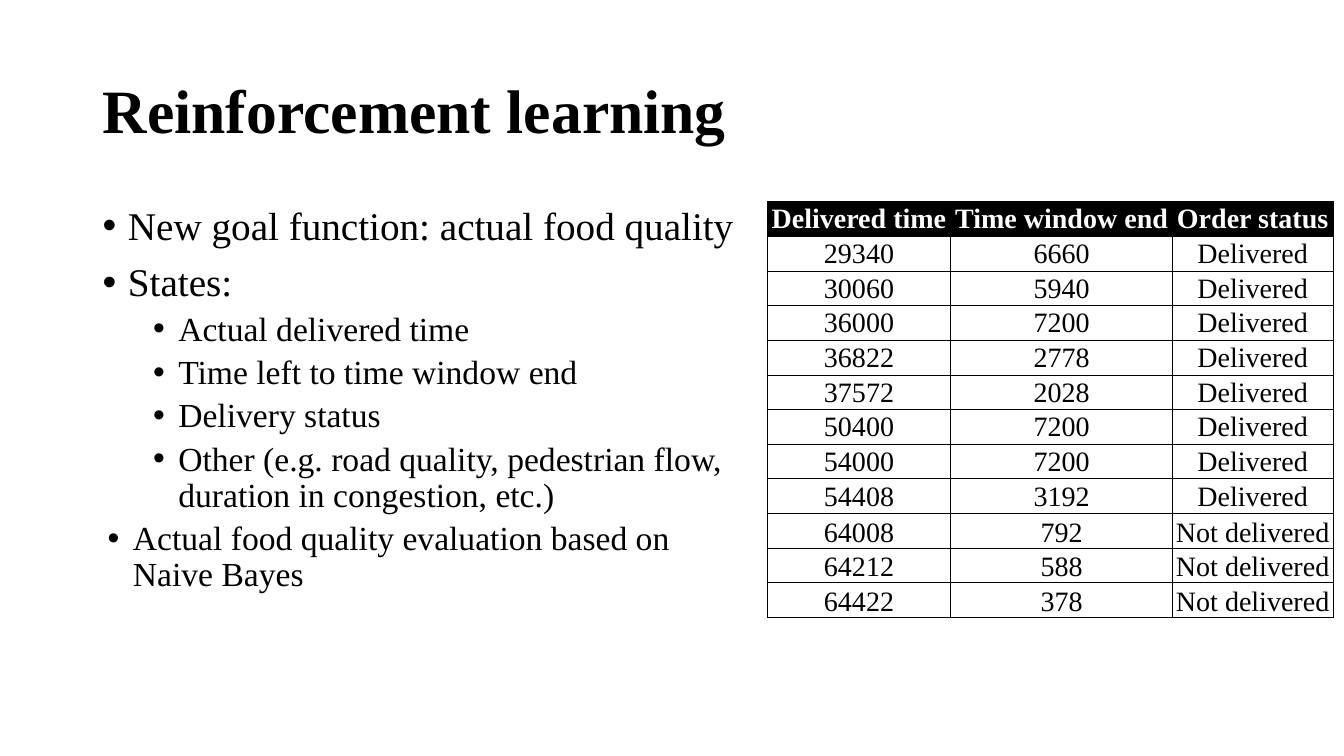
from lxml import etree
from pptx import Presentation
from pptx.dml.color import RGBColor
from pptx.enum import text as t
from pptx.oxml import ns
from pptx.util import Inches, Pt

BLACK = RGBColor(0, 0, 0)
WHITE = RGBColor(255, 255, 255)
FONT = "Times New Roman"

# text, size, left indent, space before
POINTS = [
    ("New goal function: actual food quality", 28, 0.25, 0),
    ("States:", 28, 0.25, 10),
    ("Actual delivered time", 24, 0.75, 5),
    ("Time left to time window end", 24, 0.75, 5),
    ("Delivery status", 24, 0.75, 5),
    ("Other (e.g. road quality, pedestrian flow, duration in congestion, etc.)",
     24, 0.75, 5),
    ("Actual food quality evaluation based on Naive Bayes", 24, 0.3, 5),
]

HEADS = ["Delivered time", "Time window end", "Order status"]
ORDERS = [
    (29340, 6660), (30060, 5940), (36000, 7200), (36822, 2778),
    (37572, 2028), (50400, 7200), (54000, 7200), (54408, 3192),
    (64008, 792), (64212, 588), (64422, 378),
]
DONE = 8  # orders delivered; the rest are not
WIDTHS = [1.82, 2.2, 1.59]
ROW = 0.21


def write(para, words, size=20, color=BLACK, bold=False, align=None,
          line=None, before=0, indent=None):
    """Fill one paragraph; an indent makes it a bullet."""
    if indent is not None:
        props = para._p.get_or_add_pPr()
        props.set("marL", str(Inches(indent)))
        props.set("indent", str(Inches(-0.25)))
        if indent > 0.25:
            para.level = 1
    para.alignment = align
    para.line_spacing = line
    para.space_before = Pt(before)
    if indent is not None:
        etree.SubElement(props, ns.qn("a:buFont"), typeface="Arial")
        etree.SubElement(props, ns.qn("a:buChar"), char="•")
    run = para.add_run()
    run.text = words
    font = run.font
    font.name, font.size, font.bold = FONT, Pt(size), bold
    font.color.rgb = color


def add_box(slide, left, top, width, height, anchor):
    box = slide.shapes.add_textbox(*map(Inches, (left, top, width, height)))
    frame = box.text_frame
    frame.word_wrap = True
    frame.vertical_anchor = anchor
    return frame


def add_edges(cell):
    """Draw a thin black line on all four sides of a cell."""
    props = cell._tc.get_or_add_tcPr()
    for spot, side in enumerate(("lnL", "lnR", "lnT", "lnB")):
        edge = etree.Element(ns.qn("a:" + side), w=str(Pt(0.5)))
        fill = etree.SubElement(edge, ns.qn("a:solidFill"))
        etree.SubElement(fill, ns.qn("a:srgbClr"), val=str(BLACK))
        props.insert(spot, edge)


def add_cell(cell, words, head, anchor):
    cell.margin_left = cell.margin_right = cell.margin_top = Inches(0.01)
    cell.margin_bottom = 0
    cell.vertical_anchor = anchor
    if head:
        cell.fill.solid()
        cell.fill.fore_color.rgb = BLACK
    else:
        cell.fill.background()
    add_edges(cell)
    write(cell.text_frame.paragraphs[0], str(words), bold=head,
          color=WHITE if head else BLACK, align=t.PP_ALIGN.CENTER)


def add_orders(slide):
    rows = [HEADS] + [
        (*order, "Delivered" if n < DONE else "Not delivered")
        for n, order in enumerate(ORDERS)]
    table = slide.shapes.add_table(
        len(rows), len(HEADS), Inches(7.61), Inches(2),
        Inches(sum(WIDTHS)), Inches(ROW * len(rows))).table
    table.horz_banding = False
    for col, width in zip(table.columns, WIDTHS):
        col.width = Inches(width)
    for r, row in enumerate(rows):
        table.rows[r].height = Inches(ROW)
        anchor = t.MSO_ANCHOR.MIDDLE if r <= DONE else t.MSO_ANCHOR.BOTTOM
        for c, words in enumerate(row):
            add_cell(table.cell(r, c), words, r == 0, anchor)


def main():
    deck = Presentation()
    deck.slide_width, deck.slide_height = Inches(13.33), Inches(7.5)
    slide = deck.slides.add_slide(deck.slide_layouts[6])

    # Title
    title = add_box(slide, 0.92, 0.4, 11.5, 1.45, t.MSO_ANCHOR.MIDDLE)
    write(title.paragraphs[0], "Reinforcement learning", size=44, bold=True,
          line=0.9)

    # Bullet list
    body = add_box(slide, 0.92, 2, 6.59, 4.76, t.MSO_ANCHOR.TOP)
    for n, (words, size, indent, before) in enumerate(POINTS):
        para = body.add_paragraph() if n else body.paragraphs[0]
        write(para, words, size=size, indent=indent, before=before, line=0.9)

    # Order table
    add_orders(slide)
    deck.save("out.pptx")


if __name__ == "__main__":
    main()
